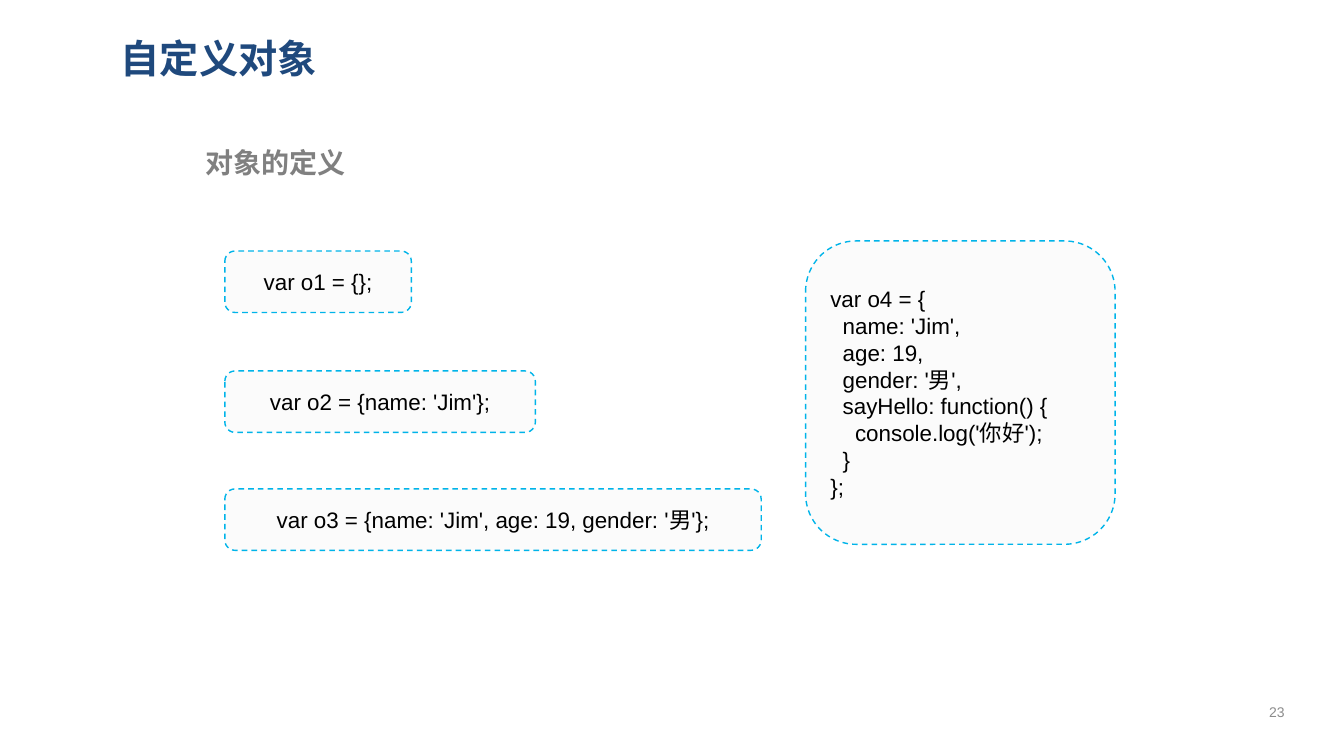
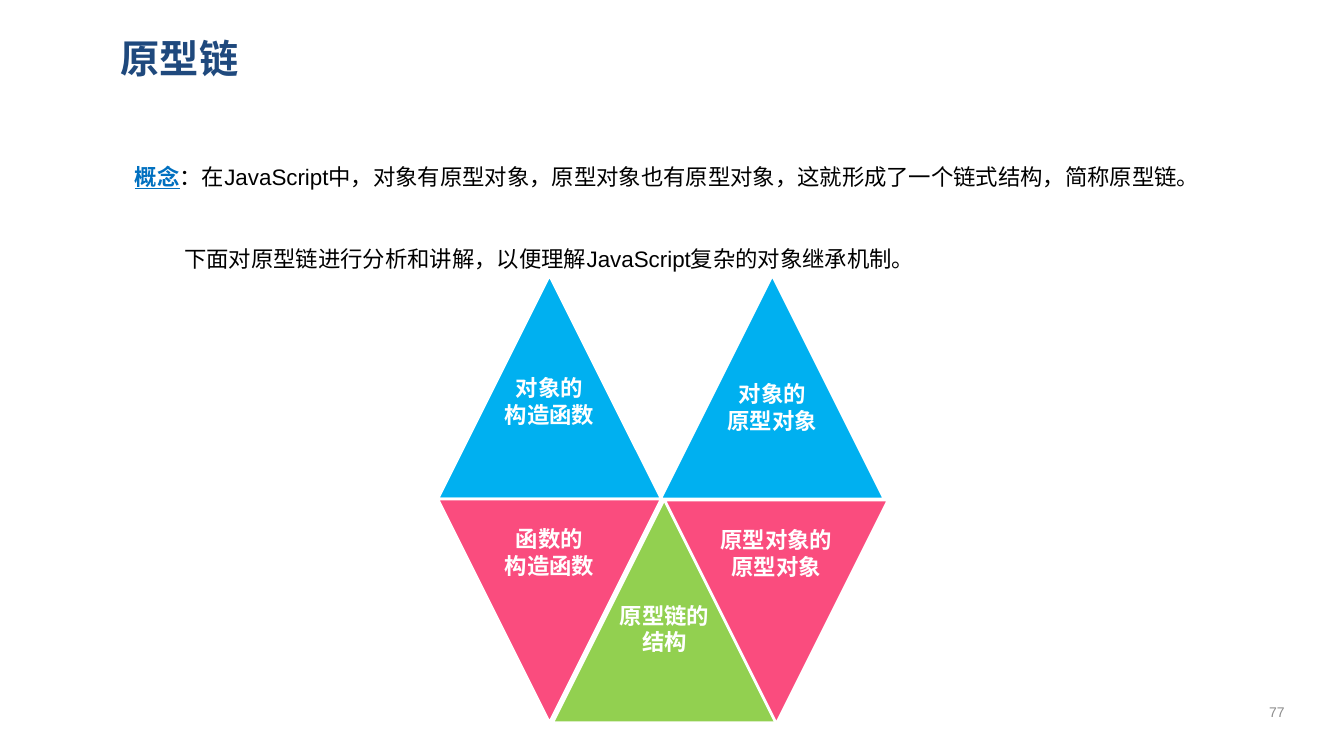
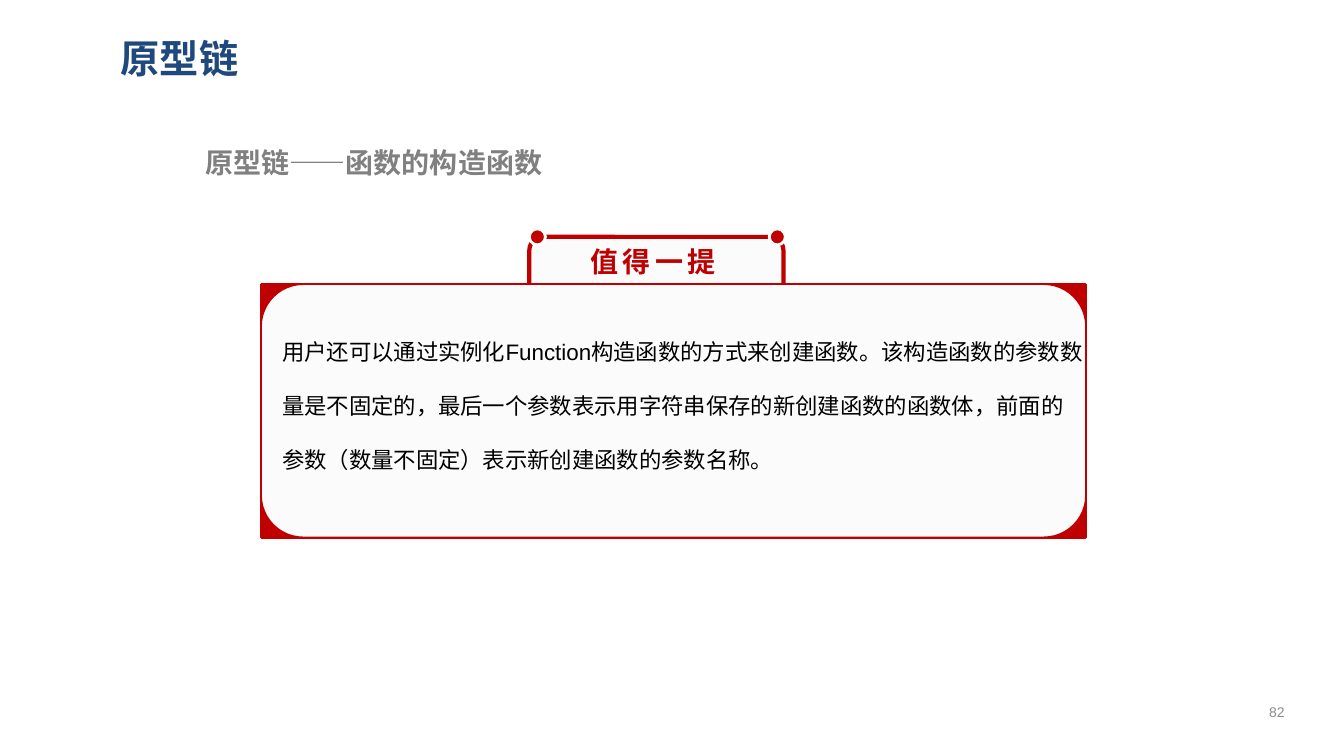
from dataclasses import dataclass
from typing import NamedTuple

from lxml import etree
from pptx import Presentation
from pptx import util as u
from pptx.dml.color import RGBColor
from pptx.enum import dml, shapes, text
from pptx.oxml import ns

GEOMETRY = shapes.MSO_SHAPE
LEFT, CENTER = text.PP_ALIGN.LEFT, text.PP_ALIGN.CENTER
TOP, MIDDLE = text.MSO_ANCHOR.TOP, text.MSO_ANCHOR.MIDDLE


@dataclass(frozen=True)
class Theme:
    title: str = "1F497D"
    subtitle: str = "808080"
    ink: str = "000000"
    white: str = "FFFFFF"
    panel: str = "FBFBFB"
    code_edge: str = "00B4E9"
    term: str = "0070C0"
    sky: str = "00B0F0"
    rose: str = "FA4C7E"
    leaf: str = "92D050"
    red: str = "C00000"
    number: str = "8C8C8C"
    latin: str = "Arial"
    chinese: str = "Noto Sans CJK SC"
    title_size: float = 28
    heading_size: float = 20
    body_size: float = 16
    number_size: float = 10


THEME = Theme()


class Box(NamedTuple):
    left: float
    top: float
    width: float
    height: float

    def lengths(self) -> tuple:
        return tuple(u.Inches(value) for value in self)


class CodeBox(NamedTuple):
    box: Box
    code: str
    align: text.PP_ALIGN = CENTER


class Triangle(NamedTuple):
    left: float
    top: float
    points_up: bool
    color: str
    label: str
    label_drop: float
    label_width: float = 1.22


TRIANGLE_SIDE = 2.22
TITLE_BOX = Box(1.1, 0.24, 11.65, 0.67)
SUBTITLE_BOX = Box(1.94, 1.39, 9.22, 0.44)
NUMBER_BOX = Box(12.34, 6.86, 0.65, 0.4)

CODE_LEFT, CODE_HEIGHT = 2.23, 0.61
CODE_BOXES = [
    CodeBox(Box(CODE_LEFT, 2.49, 1.85, CODE_HEIGHT), "var o1 = {};"),
    CodeBox(Box(CODE_LEFT, 3.68, 3.08, CODE_HEIGHT), "var o2 = {name: 'Jim'};"),
    CodeBox(Box(CODE_LEFT, 4.85, 5.32, CODE_HEIGHT),
            "var o3 = {name: 'Jim', age: 19, gender: '男'};"),
    CodeBox(Box(7.99, 2.39, 3.07, 3.01), """var o4 = {
  name: 'Jim',
  age: 19,
  gender: '男',
  sayHello: function() {
    console.log('你好');
  }
};""", LEFT),
]

TRIANGLES = [
    Triangle(4.34, 2.73, True, THEME.sky, "对象的\n构造函数", 0.93),
    Triangle(4.34, 4.95, False, THEME.rose, "函数的\n构造函数", 0.21),
    Triangle(5.48, 4.95, True, THEME.leaf, "原型链的\n结构", 0.97),
    Triangle(6.55, 2.73, True, THEME.sky, "对象的\n原型对象", 0.99),
    Triangle(6.59, 4.96, False, THEME.rose, "原型对象的\n原型对象", 0.21, 1.47),
]


# Text
def add_run(paragraph, words: str, *, size: float, color: str, font: str,
            bold: bool = False, underline: bool = False, spacing: float = 0) -> None:
    run = paragraph.add_run()
    run.text = words
    run.font.size = u.Pt(size)
    run.font.name = font
    run.font.bold = bold
    run.font.underline = underline
    run.font.color.rgb = RGBColor.from_string(color)
    properties = run._r.get_or_add_rPr()
    if spacing:
        properties.set("spc", str(round(spacing * 100)))
    east_asian = etree.SubElement(properties, ns.qn("a:ea"))
    east_asian.set("typeface", THEME.chinese)


def write(owner, words: str, *, size: float = THEME.body_size, color: str = THEME.ink,
          font: str = THEME.latin, bold: bool = False, align=LEFT, anchor=TOP,
          line_spacing: float = 1, spacing: float = 0, wrap: bool = True,
          grow: bool = False, term: str = "") -> None:
    """Write one paragraph a line; term is an underlined word put first."""
    frame = owner.text_frame
    frame.word_wrap = wrap
    frame.vertical_anchor = anchor
    frame.auto_size = (text.MSO_AUTO_SIZE.SHAPE_TO_FIT_TEXT if grow
                       else text.MSO_AUTO_SIZE.NONE)
    for index, line in enumerate(words.split("\n")):
        paragraph = frame.add_paragraph() if index else frame.paragraphs[0]
        paragraph.alignment = align
        paragraph.line_spacing = line_spacing
        if term and not index:
            add_run(paragraph, term, size=size, color=THEME.term, font=font,
                    bold=True, underline=True)
        add_run(paragraph, line, size=size, color=color, font=font,
                bold=bold, spacing=spacing)


def add_text(slide, box: Box, words: str, **text_format) -> None:
    write(slide.shapes.add_textbox(*box.lengths()), words, **text_format)


# Shapes
def paint(shape, fill: str, line: str, width: float, dashed: bool = False) -> None:
    shape.shadow.inherit = False
    shape.fill.solid()
    shape.fill.fore_color.rgb = RGBColor.from_string(fill)
    shape.line.color.rgb = RGBColor.from_string(line)
    shape.line.width = u.Pt(width)
    if dashed:
        shape.line.dash_style = dml.MSO_LINE.DASH


def add_shape(slide, kind, box: Box, fill: str, line: str, width: float,
              dashed: bool = False):
    shape = slide.shapes.add_shape(kind, *box.lengths())
    paint(shape, fill, line, width, dashed)
    return shape


def add_triangle(slide, part: Triangle) -> None:
    bottom = part.top + TRIANGLE_SIDE
    base, apex = (bottom, part.top) if part.points_up else (part.top, bottom)
    corners = [(u.Inches(part.left + TRIANGLE_SIDE * share), u.Inches(y))
               for share, y in ((0, base), (0.5, apex), (1, base))]
    outline = slide.shapes.build_freeform(*corners[0])
    outline.add_line_segments(corners[1:], close=True)
    paint(outline.convert_to_shape(), part.color, THEME.white, 2)
    label = Box(part.left + (TRIANGLE_SIDE - part.label_width) / 2,
                part.top + part.label_drop, part.label_width, 0.71)
    add_text(slide, label, part.label, color=THEME.white, bold=True,
             align=CENTER, wrap=False, grow=True)


# Shared slide frame
def add_slide(deck, title: str, number: int, subtitle: str = ""):
    slide = deck.slides.add_slide(deck.slide_layouts[6])
    add_text(slide, TITLE_BOX, title, size=THEME.title_size, color=THEME.title,
             font=THEME.chinese, bold=True, anchor=MIDDLE)
    if subtitle:
        add_text(slide, SUBTITLE_BOX, subtitle, size=THEME.heading_size,
                 color=THEME.subtitle, font=THEME.chinese, bold=True, grow=True)
    add_text(slide, NUMBER_BOX, str(number), size=THEME.number_size,
             color=THEME.number, align=CENTER, anchor=MIDDLE)
    return slide


# Slides
def build_object_slide(deck) -> None:
    slide = add_slide(deck, "自定义对象", 23, "对象的定义")
    for part in CODE_BOXES:
        panel = add_shape(slide, GEOMETRY.ROUNDED_RECTANGLE, part.box,
                          THEME.panel, THEME.code_edge, 1, dashed=True)
        write(panel, part.code, align=part.align, anchor=MIDDLE)


def build_chain_slide(deck) -> None:
    slide = add_slide(deck, "原型链", 77)
    add_text(slide, Box(1.24, 1.3, 11.1, 0.55),
             "：在JavaScript中，对象有原型对象，原型对象也有原型对象，"
             "这就形成了一个链式结构，简称原型链。",
             term="概念", line_spacing=2, grow=True)
    add_text(slide, Box(1.73, 2.12, 9.19, 0.61),
             "下面对原型链进行分析和讲解，以便理解JavaScript复杂的对象继承机制。",
             line_spacing=2, grow=True)
    for part in TRIANGLES:
        add_triangle(slide, part)


def build_constructor_slide(deck) -> None:
    slide = add_slide(deck, "原型链", 82, "原型链——函数的构造函数")
    # Tab behind the note, then the note with its red corners
    add_shape(slide, GEOMETRY.ROUNDED_RECTANGLE, Box(5.25, 2.35, 2.52, 0.79),
              THEME.panel, THEME.red, 3)
    note = Box(2.59, 2.82, 8.18, 2.51)
    add_shape(slide, GEOMETRY.FLOWCHART_PROCESS, note, THEME.red, THEME.red, 2)
    add_shape(slide, GEOMETRY.FLOWCHART_ALTERNATE_PROCESS, note,
              THEME.panel, THEME.red, 1)
    # Pins and heading on the tab
    for pin_left in (5.25, 7.63):
        add_shape(slide, GEOMETRY.OVAL, Box(pin_left, 2.27, 0.16, 0.16),
                  THEME.red, THEME.white, 2)
    add_text(slide, Box(5.76, 2.38, 1.5, 0.44), "值得一提", size=THEME.heading_size,
             color=THEME.red, font=THEME.chinese, bold=True, spacing=3,
             wrap=False, grow=True)
    add_text(slide, Box(2.7, 3.04, 8.17, 1.82),
             "用户还可以通过实例化Function构造函数的方式来创建函数。"
             "该构造函数的参数数量是不固定的，最后一个参数表示用字符串保存的"
             "新创建函数的函数体，前面的参数（数量不固定）表示新创建函数的参数名称。",
             line_spacing=2, grow=True)


def main() -> None:
    deck = Presentation()
    deck.slide_width, deck.slide_height = u.Inches(13.33), u.Inches(7.5)
    build_object_slide(deck)
    build_chain_slide(deck)
    build_constructor_slide(deck)
    deck.save("out.pptx")


if __name__ == "__main__":
    main()
